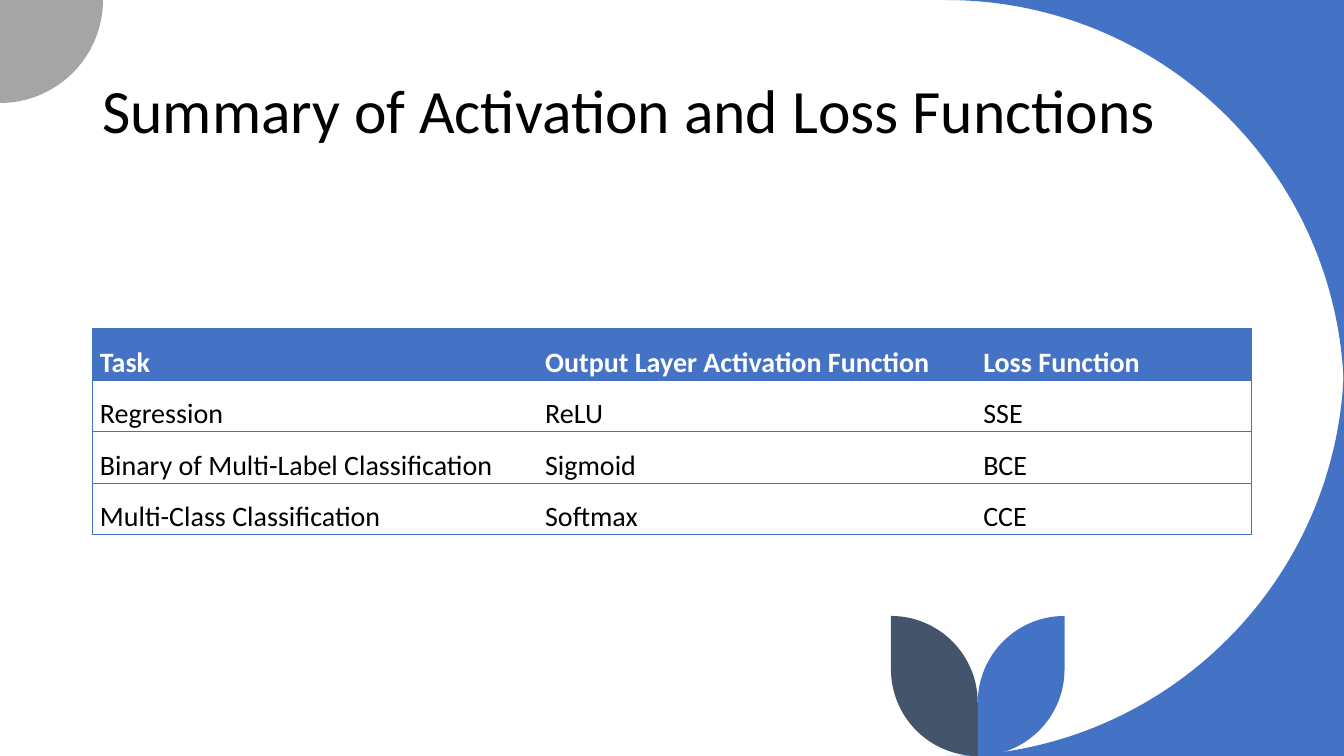
from lxml import etree
from pptx import Presentation
from pptx import util as u
from pptx.dml.color import RGBColor
from pptx.enum import text
from pptx.oxml.ns import qn

Pt = u.Pt
FONT = "Calibri"
COLORS = {
    "blue": "4472C4",
    "gray": "A5A5A5",
    "slate": "44546A",
    "black": "000000",
    "white": "FFFFFF",
}
ROWS = [
    ("Task", "Output Layer Activation Function", "Loss Function"),
    ("Regression", "ReLU", "SSE"),
    ("Binary of Multi-Label Classification", "Sigmoid", "BCE"),
    ("Multi-Class Classification", "Softmax", "CCE"),
]
COLUMN_WIDTHS = (318, 313, 197)
ROW_HEIGHT = 36.8
UNITS = 100  # outline units per point


def rgb(color):
    return RGBColor.from_string(COLORS[color])


def curve(start, corner, end):
    """Control points and end of a quarter circle that bulges towards the corner."""
    controls = [tuple(a + 0.5523 * (b - a) for a, b in zip(point, corner))
                for point in (start, end)]
    return [*controls, end]


def add_outline(slide, start, parts, color):
    """Draw a closed outline; a part is (end) for a line or (corner, end) for a curve."""
    points, curve_starts = [start], []
    for part in parts:
        if len(part) == 2:
            curve_starts.append(len(points) - 1)
            points += curve(points[-1], *part)
        else:
            points += part
    scaled = [(x * UNITS, y * UNITS) for x, y in points]
    builder = slide.shapes.build_freeform(*scaled[0], scale=Pt(1) / UNITS)
    builder.add_line_segments(scaled[1:], close=True)
    shape = builder.convert_to_shape()

    segments = list(shape._element.iter(qn("a:lnTo")))
    for index in curve_starts:
        first, second, last = segments[index:index + 3]
        bezier = etree.Element(qn("a:cubicBezTo"))
        first.addprevious(bezier)
        for segment in (first, second, last):
            bezier.append(segment[0])
            segment.getparent().remove(segment)

    shape.shadow.inherit = False
    shape.fill.solid()
    shape.fill.fore_color.rgb = rgb(color)
    shape.line.fill.background()


def add_leaf(slide, stem, outer, bottom, color):
    top = bottom - 100
    width = abs(outer - stem)
    parts = [
        [(outer, bottom), (stem, bottom)],
        [(stem, top + width)],
        [(stem, top), (outer, top)],
    ]
    add_outline(slide, (outer, bottom - width), parts, color)


def add_decoration(slide, width, height):
    radius = 284.4
    left = width - radius
    for edge, middle in ((0, radius), (height, height - radius)):
        parts = [[(width, edge), (width, middle)], [(width, edge)]]
        add_outline(slide, (left, edge), parts, "blue")

    size = 73.6
    add_outline(slide, (0, 0), [[(size, 0)], [(size, size), (0, size)]], "gray")

    stem, leaf_width = 698.4, 62
    add_leaf(slide, stem, stem + leaf_width, height, "blue")
    add_leaf(slide, stem, stem - leaf_width, height, "slate")


def format_span(span, size, color, bold=False):
    span.font.name = FONT
    span.font.size = Pt(size)
    span.font.bold = bold
    span.font.color.rgb = rgb(color)


def add_title(slide, title):
    box = slide.shapes.add_textbox(Pt(66), Pt(28.75), Pt(828), Pt(104.4))
    frame = box.text_frame
    frame.word_wrap = True
    frame.vertical_anchor = text.MSO_ANCHOR.MIDDLE
    frame.text = title
    para = frame.paragraphs[0]
    para.line_spacing = 0.9
    format_span(para.runs[0], 44, "black")


def set_border(cell, side, color=None):
    """Draw a thin line on one side of the cell, or none without a color."""
    line = etree.SubElement(cell._tc.get_or_add_tcPr(), qn(f"a:ln{side}"), w=str(Pt(0.5)))
    if color:
        fill = etree.SubElement(line, qn("a:solidFill"))
        etree.SubElement(fill, qn("a:srgbClr"), val=COLORS[color])
    else:
        etree.SubElement(line, qn("a:noFill"))


def format_cell(cell, value, is_header, outer_sides):
    cell.margin_left = cell.margin_right = Pt(5.4)
    cell.margin_top = cell.margin_bottom = 0
    cell.vertical_anchor = text.MSO_ANCHOR.MIDDLE
    for side in "LRTB":
        set_border(cell, side, "blue" if side in outer_sides + "TB" else None)
    if is_header:
        cell.fill.solid()
        cell.fill.fore_color.rgb = rgb("blue")
    else:
        cell.fill.background()
    cell.text = value
    para = cell.text_frame.paragraphs[0]
    para.line_spacing = 1.5
    para.space_before = para.space_after = Pt(6)
    format_span(para.runs[0], 20, "white" if is_header else "black", is_header)


def add_summary_table(slide):
    frame = slide.shapes.add_table(
        len(ROWS), len(COLUMN_WIDTHS), Pt(66), Pt(234.6),
        Pt(sum(COLUMN_WIDTHS)), Pt(ROW_HEIGHT * len(ROWS)))
    table = frame.table
    table.horz_banding = False
    for column, width in zip(table.columns, COLUMN_WIDTHS):
        column.width = Pt(width)
    outer_sides = ("L", "", "R")
    for r, values in enumerate(ROWS):
        for c, value in enumerate(values):
            format_cell(table.cell(r, c), value, r == 0, outer_sides[c])
    frame.height = Pt(128.9)


def main():
    width, height = 960, 540
    deck = Presentation()
    deck.slide_width, deck.slide_height = Pt(width), Pt(height)
    slide = deck.slides.add_slide(deck.slide_layouts[6])
    add_decoration(slide, width, height)
    add_title(slide, "Summary of Activation and Loss Functions")
    add_summary_table(slide)
    deck.save("out.pptx")


if __name__ == "__main__":
    main()
